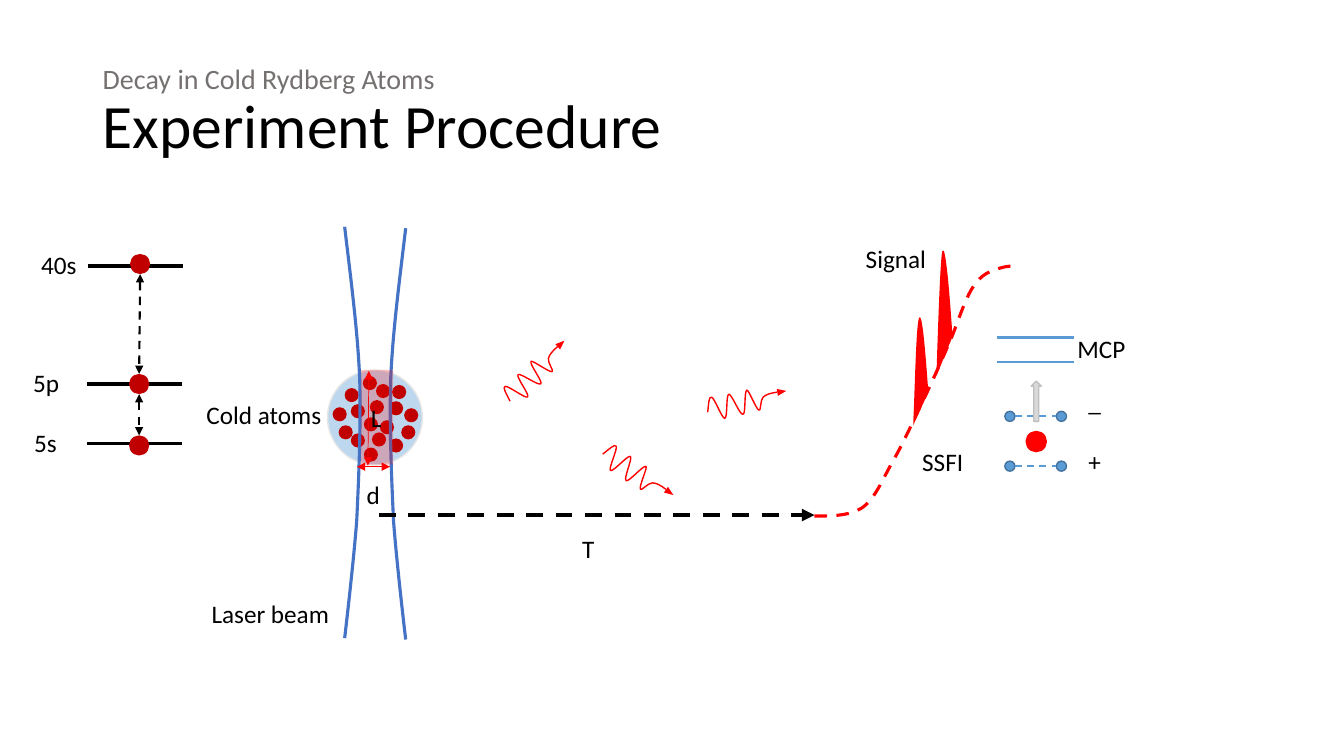
from dataclasses import dataclass
from math import cos, radians, sin

from lxml.etree import SubElement
from pptx import Presentation
from pptx.dml.color import RGBColor
from pptx.enum.dml import MSO_LINE
from pptx.enum.shapes import MSO_CONNECTOR, MSO_SHAPE as Preset
from pptx.enum.text import MSO_ANCHOR, MSO_AUTO_SIZE, PP_ALIGN
from pptx.oxml.ns import qn
from pptx.util import Pt


@dataclass(frozen=True)
class Theme:
    font: str = "Calibri"
    title_size: int = 44
    subtitle_size: int = 20
    label_size: int = 18
    black: str = "000000"
    subtitle: str = "767171"
    atom: str = "C00000"
    red: str = "FF0000"
    cloud: str = "BDD7EE"
    cloud_edge: str = "E7E6E6"
    beam: str = "4472C4"
    plate: str = "5B9BD5"
    plate_edge: str = "43739E"
    arrow: str = "D9D9D9"
    arrow_edge: str = "BFBFBF"


theme = Theme()
presentation = Presentation()
presentation.slide_width, presentation.slide_height = Pt(960), Pt(540)
slide = presentation.slides.add_slide(presentation.slide_layouts[5])


def add_preset(preset, left, top, width, height, fill, edge=None, rotation=0):
    shape = slide.shapes.add_shape(preset, Pt(left), Pt(top), Pt(width), Pt(height))
    shape.shadow.inherit = False
    shape.rotation = rotation
    shape.fill.solid()
    shape.fill.fore_color.rgb = RGBColor.from_string(fill)
    if edge:
        shape.line.color.rgb = RGBColor.from_string(edge)
        shape.line.width = Pt(1)
    else:
        shape.line.fill.background()
    return shape


def add_line(x1, y1, x2, y2, color, weight, dashed=False, ends=()):
    connector = slide.shapes.add_connector(
        MSO_CONNECTOR.STRAIGHT, Pt(x1), Pt(y1), Pt(x2), Pt(y2))
    connector.line.color.rgb = RGBColor.from_string(color)
    connector.line.width = Pt(weight)
    if dashed:
        connector.line.dash_style = MSO_LINE.DASH
    properties = connector._element.spPr
    for end in ends:
        SubElement(properties.find(qn("a:ln")), qn(f"a:{end}"), type="triangle")
    SubElement(properties, qn("a:effectLst"))


BOTH_ENDS = ("headEnd", "tailEnd")

# Title with a small first line
title = slide.shapes.title
title.left, title.top, title.width, title.height = Pt(66.2), Pt(28.8), Pt(828), Pt(104.4)
title.text_frame.text = "Decay in Cold Rydberg Atoms\vExperiment Procedure"
title.text_frame.vertical_anchor = MSO_ANCHOR.MIDDLE
title.text_frame.auto_size = MSO_AUTO_SIZE.NONE
paragraph = title.text_frame.paragraphs[0]
paragraph.alignment = PP_ALIGN.LEFT
paragraph.line_spacing = 0.9
title_styles = [(theme.subtitle_size, theme.subtitle), (theme.title_size, theme.black)]
for run, (size, color) in zip(paragraph.runs, title_styles):
    run.font.name = theme.font
    run.font.size = Pt(size)
    run.font.color.rgb = RGBColor.from_string(color)
SubElement(paragraph._p.find(qn("a:br")), qn("a:rPr"), sz=str(theme.subtitle_size * 100))

# Cold atom cloud
add_preset(Preset.OVAL, 234, 264.4, 67.7, 67.7, theme.cloud, theme.cloud_edge)
atoms = [(246.2, 277.2), (264.2, 285.8), (241.9, 303.8), (259.9, 298.1), (259.2, 268.6),
         (280.1, 275), (250.6, 288.7), (237.6, 290.9), (277.9, 286.6), (271.4, 300.2),
         (286.6, 303.8), (288.7, 291.6), (250.6, 309.6), (265.7, 308.9), (277.9, 313.2),
         (259.9, 319.7), (268.6, 274.3)]
for left, top in atoms:
    add_preset(Preset.FLOWCHART_CONNECTOR, left, top, 10.1, 10.1, theme.atom)

# Curve control points: a start, then three points for each cubic segment
beam_left = [(246.2, 162), (250.6, 199.4), (255.6, 236.9), (257, 271.4),
             (257.8, 306.7), (256.3, 339.8), (254.9, 370.8),
             (252.7, 401), (246.2, 455.8), (246.2, 455.8)]
beam_right = [(536 - x, y + 1) for x, y in beam_left]
ramp = [(581.8, 368.6), (594, 368.6), (606.2, 368.6), (615.6, 362.9),
        (625, 356.4), (630, 343.4), (637.2, 330.5), (644.4, 318.2), (651.6, 302.4),
        (658.8, 287.3), (666, 272.9), (679.7, 241.2), (679.7, 241.2),
        (685.4, 226.8), (690.5, 210.2), (697, 202.3), (703.4, 193.7), (712.1, 192.2),
        (717.1, 190.8), (722.9, 189.4), (725, 190.8), (727.9, 191.5)]
tall_peak = [(668.9, 268.6), (670.3, 226.1), (671.8, 183.6), (673.2, 179.3),
             (675.4, 174.2), (678.2, 207.4), (680.4, 240.5)]
short_peak = [(652.3, 303.8), (653.8, 267.1), (654.5, 231.1), (656.6, 226.8),
              (658.8, 223.2), (661, 251.3), (663.1, 280.1)]
photon = [(-25.8, 1.6), (-23.8, -3.8), (-22.6, -9.5), (-20.7, -8.3), (-18.7, -7.1),
          (-16.9, 8), (-14.8, 8.5), (-12.5, 8.3), (-10.5, -7.5), (-8.2, -7.7),
          (-6.1, -7.3), (-3.8, 8.7), (-1.5, 8.5), (0.6, 9), (2.8, -7.5), (5, -7.7),
          (6.5, -7.4), (8.4, 7.1), (10.4, 8.2), (11.6, 9.2), (12.6, 1.4), (15.2, -0.3),
          (17.8, -1.9), (21.5, -1.9), (25.8, -1.6)]

# Points, colour, line weight (0 for a filled peak), dashed, rotation
curves = [(ramp, theme.red, 2.25, True, 0),
          (tall_peak, theme.red, 0, False, 0),
          (short_peak, theme.red, 0, False, 0),
          (beam_left, theme.beam, 2.25, False, 0),
          (beam_right, theme.beam, 2.25, False, 0)]

# Emitted photons, each with its arrow tip
for x, y, angle in [(381.2, 267.1, -45.4), (453.2, 337, 32.7), (530.3, 287.3, -12.6)]:
    curves.append(([(x + dx, y + dy) for dx, dy in photon], theme.red, 1, False, angle))
    turn = radians(angle)
    tip_x = x + 29.1 * cos(turn) + 1.2 * sin(turn)
    tip_y = y + 29.1 * sin(turn) - 1.2 * cos(turn)
    add_preset(Preset.ISOSCELES_TRIANGLE, tip_x - 2.5, tip_y - 3.25, 5, 6.5,
               theme.red, rotation=angle + 93)

# Draw every curve, joining each three points into one cubic segment
for points, color, weight, dashed, angle in curves:
    start, *controls = [(Pt(x), Pt(y)) for x, y in points]
    builder = slide.shapes.build_freeform(*start)
    builder.add_line_segments(controls, close=False)
    curve = builder.convert_to_shape()
    outline = curve._element.find(".//" + qn("a:path"))
    segments = outline.findall(qn("a:lnTo"))
    for i in range(0, len(segments), 3):
        cubic = SubElement(outline, qn("a:cubicBezTo"))
        for segment in segments[i:i + 3]:
            cubic.append(segment[0])
            outline.remove(segment)
    curve.shadow.inherit = False
    curve.rotation = angle
    if weight:
        curve.fill.background()
        curve.line.color.rgb = RGBColor.from_string(color)
        curve.line.width = Pt(weight)
        if dashed:
            curve.line.dash_style = MSO_LINE.DASH
    else:
        curve.fill.solid()
        curve.fill.fore_color.rgb = RGBColor.from_string(color)
        curve.line.fill.background()

# Delay arrow
add_line(270.7, 367.9, 581.8, 367.9, theme.black, 3, True, ("tailEnd",))

# Detector: electrodes, ion and plates
for top in (293.8, 329.4):
    for left in (717.8, 754.6):
        add_preset(Preset.OVAL, left, top, 7.2, 7.2, theme.plate, theme.plate_edge)
    add_line(725, top + 3.6, 754.6, top + 3.6, theme.plate, 1.25, True)
add_preset(Preset.OVAL, 733, 308.2, 14.4, 14.4, theme.red, theme.red)
add_preset(Preset.UP_ARROW, 736.6, 272.2, 7.2, 28.8, theme.arrow, theme.arrow_edge)
for y in (241.2, 258.5):
    add_line(712.4, y, 767.2, y, theme.plate, 1.75)

# Energy levels and transitions
for left, y, atom_top in [(62.6, 190.1, 181.4), (61.9, 274.3, 267.1), (61.9, 316.8, 311)]:
    add_line(left, y, left + 68, y, theme.black, 2.5)
    add_preset(Preset.FLOWCHART_CONNECTOR, left + 30.3, atom_top, 14.4, 14.4, theme.atom)
add_line(100.1, 195.8, 99.4, 267.1, theme.black, 1.5, True, BOTH_ENDS)
add_line(99.4, 281.5, 99.4, 311, theme.black, 1.5, True, BOTH_ENDS)

# Excitation volume with its dimensions
volume = add_preset(Preset.RECTANGLE, 257.8, 264.2, 23, 67.7, theme.red)
SubElement(volume._element.spPr.find(".//" + qn("a:srgbClr")), qn("a:alpha"), val="22000")
add_line(254.9, 333.4, 278.6, 333.4, theme.red, 0.5, ends=BOTH_ENDS)
add_line(262.8, 332.6, 263.5, 265, theme.red, 0.5, ends=BOTH_ENDS)

# Labels: text, left, top, width, wrap
labels = [("Cold atoms", 140.4, 281.5, 97.2, False), ("SSFI", 651.6, 315.4, 43.9, False),
          ("T", 408.7, 377.3, 23.3, False), ("MCP", 762.5, 234.7, 49, False),
          ("_", 770.4, 272.2, 23.8, False), ("+", 770.4, 315.4, 23.8, False),
          ("Signal", 611.3, 169.9, 58.3, False), ("Laser beam", 144, 424.1, 99.4, False),
          ("d", 254.9, 339.1, 24.5, False), ("L", 257.8, 283.7, 22.3, False),
          ("40s", 22.3, 174.2, 43.2, True), ("5p", 16.6, 258.5, 42.5, True),
          ("5s", 17.3, 301.7, 33.8, True)]
for text, left, top, width, wrap in labels:
    label = slide.shapes.add_textbox(Pt(left), Pt(top), Pt(width), Pt(29))
    label.text_frame.text = text
    label.text_frame.word_wrap = wrap
    label.text_frame.auto_size = MSO_AUTO_SIZE.SHAPE_TO_FIT_TEXT
    font = label.text_frame.paragraphs[0].runs[0].font
    font.name = theme.font
    font.size = Pt(theme.label_size)
    font.color.rgb = RGBColor.from_string(theme.black)

presentation.save("out.pptx")
